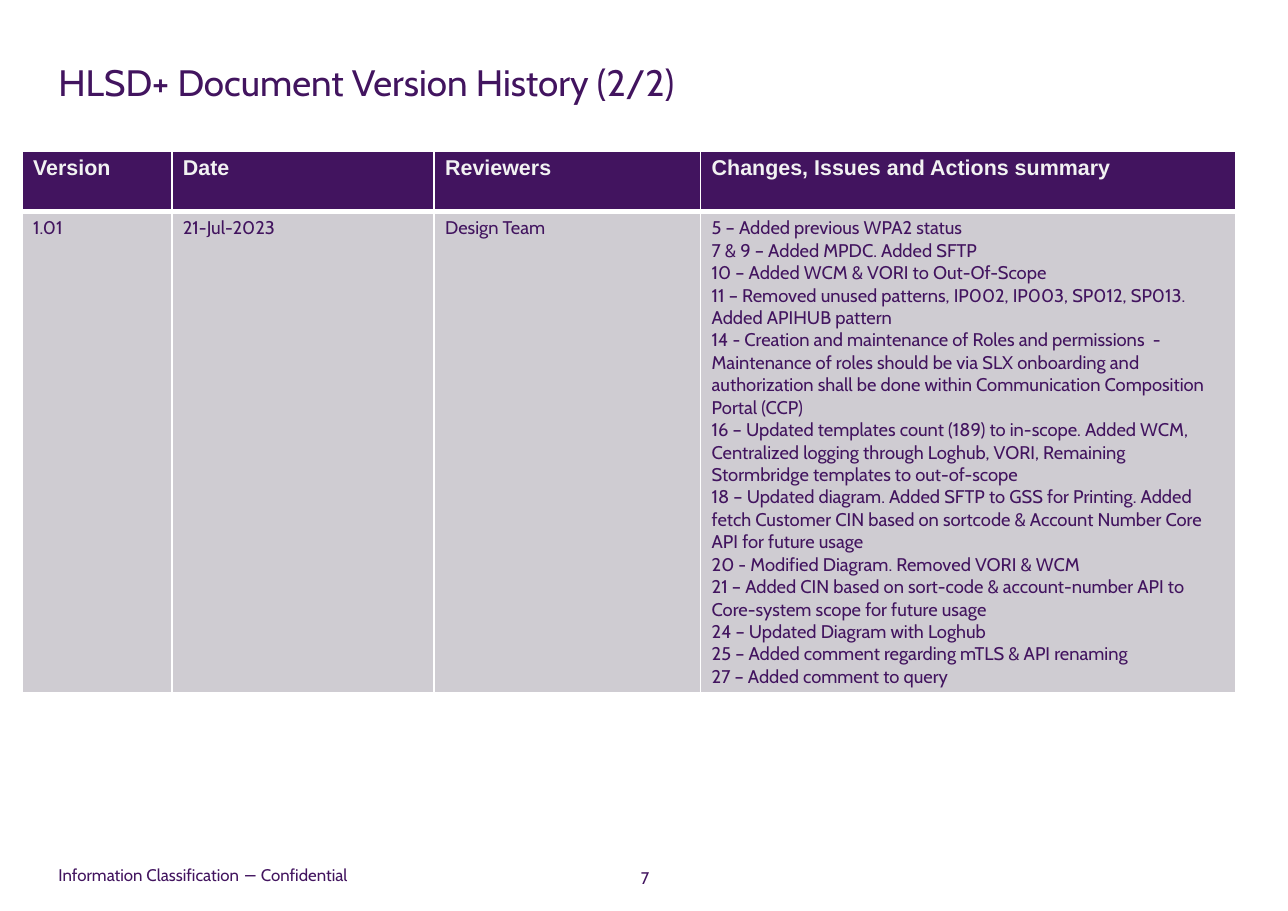
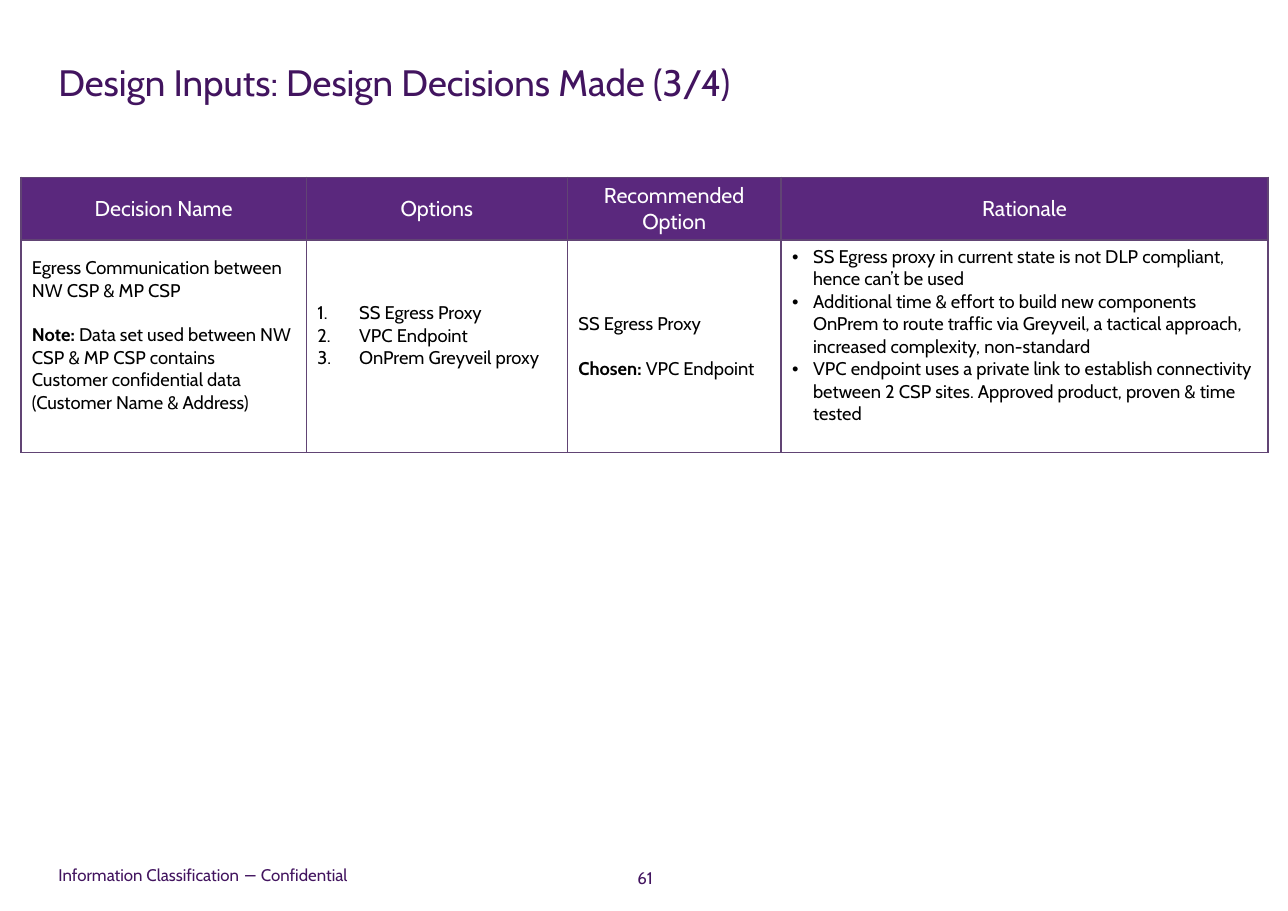
from lxml import etree
from pptx import Presentation
from pptx import util as u
from pptx.dml.color import RGBColor
from pptx.enum import text
from pptx.oxml import ns

PX = 9144  # EMU in one px, 100 px to the inch
COLORS = {
    "ink": "42145F",
    "header": "5A287D",
    "rule": "614474",
    "row": "CFCCD2",
    "pale": "F2F2F2",
    "white": "FFFFFF",
    "black": "000000",
}
LEFT, CENTER = text.PP_ALIGN.LEFT, text.PP_ALIGN.CENTER
TOP, MIDDLE = text.MSO_ANCHOR.TOP, text.MSO_ANCHOR.MIDDLE
BULLETS = {
    "bullet": (19, "a:buChar", {"char": "•"}),
    "number": (38, "a:buAutoNum", {"type": "arabicPeriod"}),
}
BLANK_LINE = u.Pt(14.6)


def px(n):
    return u.Emu(n * PX)


def rgb(name):
    return RGBColor.from_string(COLORS[name])


class Deck:
    FONT = "Cabin"

    def __init__(self):
        self.prs = Presentation()
        self.prs.slide_width, self.prs.slide_height = px(1169), px(827)
        self.s = None

    def slide(self, title, number):
        self.s = self.prs.slides.add_slide(self.prs.slide_layouts[6])
        self.label(title, (53, 54, 937, 59), 24)
        self.label("Information Classification − Confidential",
                   (53, 779, 272, 30), 11, anchor=MIDDLE)
        self.label(str(number), (553, 782, 65, 30), 11, CENTER, MIDDLE)

    def label(self, words, box, size, align=LEFT, anchor=TOP):
        tf = self.s.shapes.add_textbox(*map(px, box)).text_frame
        tf.word_wrap = True
        tf.vertical_anchor = anchor
        tf.margin_left = tf.margin_top = tf.margin_right = tf.margin_bottom = 0
        p = tf.paragraphs[0]
        p.alignment = align
        self.run(p, words, size, "ink")

    def run(self, p, words, size, color, bold=False, font=FONT):
        r = p.add_run()
        r.text = words
        r.font.size, r.font.bold, r.font.name = u.Pt(size), bold, font
        r.font.color.rgb = rgb(color)

    def bullet(self, p, kind):
        indent, tag, attrs = BULLETS[kind]
        pPr = p._p.get_or_add_pPr()
        pPr.set("marL", str(px(indent)))
        pPr.set("indent", str(-px(indent)))
        etree.SubElement(pPr, ns.qn("a:buFont"), typeface=
                         "Arial" if kind == "bullet" else self.FONT)
        etree.SubElement(pPr, ns.qn(tag), **attrs)

    def border(self, cell, color, top=1, bottom=1):
        tcPr = cell._tc.get_or_add_tcPr()
        for side, width in zip("LRTB", (1, 1, top, bottom)):
            ln = etree.SubElement(tcPr, ns.qn("a:ln" + side), w=str(u.Pt(width)))
            fill = etree.SubElement(ln, ns.qn("a:solidFill"))
            etree.SubElement(fill, ns.qn("a:srgbClr"), val=COLORS[color])

    def table(self, left, top, widths, heights, rows, styles, rule, divider=1):
        """Draw a header row and body rows; styles holds one look for each.

        A cell is a list of paragraphs, a paragraph a string or a list of
        (words, bold) runs. A (kind, paragraphs) pair makes a bulleted cell.
        """
        table = self.s.shapes.add_table(
            len(rows), len(widths), px(left), px(top),
            px(sum(widths)), px(sum(heights))).table
        table.first_row = table.horz_banding = False
        for column, width in zip(table.columns, widths):
            column.width = px(width)
        for i, (height, row) in enumerate(zip(heights, rows)):
            table.rows[i].height = px(height)
            style = styles[min(i, 1)]
            for j, content in enumerate(row):
                cell = table.cell(i, j)
                self.border(cell, rule, divider if i else 1,
                            1 if i else divider)
                self.fill_cell(cell, content, **style)
        return table

    def fill_cell(self, cell, content, fill=None, align=LEFT, anchor=TOP,
                  gap=0, bottom=5, **font):
        if fill:
            cell.fill.solid()
            cell.fill.fore_color.rgb = rgb(fill)
        else:
            cell.fill.background()
        cell.vertical_anchor = anchor
        cell.margin_left = cell.margin_right = px(10)
        cell.margin_top, cell.margin_bottom = px(5), px(bottom)
        kind, paragraphs = content if isinstance(content, tuple) else (None, content)
        tf = cell.text_frame
        for k, runs in enumerate(paragraphs):
            p = tf.add_paragraph() if k else tf.paragraphs[0]
            p.alignment = align
            if kind:
                self.bullet(p, kind)
            elif k and gap:
                p.space_before = gap
            for words, bold in [(runs, False)] if isinstance(runs, str) else runs:
                self.run(p, words, **{"bold": bold, **font})


def version_history(deck):
    deck.slide("HLSD+ Document Version History (2/2)", 7)
    changes = [
        "5 – Added previous WPA2 status",
        "7 & 9 – Added MPDC. Added SFTP",
        "10 – Added WCM & VORI to Out-Of-Scope",
        "11 – Removed unused patterns, IP002, IP003, SP012, SP013. "
        "Added APIHUB pattern",
        "14 - Creation and maintenance of Roles and permissions  - "
        "Maintenance of roles should be via SLX onboarding and authorization "
        "shall be done within Communication Composition Portal (CCP)",
        "16 – Updated templates count (189) to in-scope. Added WCM, "
        "Centralized logging through Loghub, VORI, Remaining Stormbridge "
        "templates to out-of-scope",
        "18 – Updated diagram. Added SFTP to GSS for Printing. Added fetch "
        "Customer CIN based on sortcode & Account Number Core API for future usage",
        "20 - Modified Diagram. Removed VORI & WCM",
        "21 – Added CIN based on sort-code & account-number API to "
        "Core-system scope for future usage",
        "24 – Updated Diagram with Loghub",
        "25 – Added comment regarding mTLS & API renaming",
        "27 – Added comment to query",
    ]
    header = dict(fill="ink", size=14, color="pale", bold=True, font="Arial")
    body = dict(fill="row", size=12, color="ink")
    deck.table(20, 137, [136, 238, 242, 486], [55, 437], [
        [["Version"], ["Date"], ["Reviewers"],
         ["Changes, Issues and Actions summary"]],
        [["1.01"], ["21-Jul-2023"], ["Design Team"], changes],
    ], (header, body), "white", divider=3)


def design_decisions(deck):
    deck.slide("Design Inputs: Design Decisions Made (3/4)", 61)
    header = dict(fill="header", size=14, color="white", align=CENTER,
                  anchor=MIDDLE)
    body = dict(size=12, color="black", anchor=MIDDLE, gap=BLANK_LINE, bottom=25)
    decision = [
        "Egress Communication between NW CSP & MP CSP",
        [("Note:", True),
         (" Data set used between NW CSP & MP CSP contains Customer "
          "confidential data (Customer Name & Address)", False)],
    ]
    options = ["SS Egress Proxy", "VPC Endpoint", "OnPrem Greyveil proxy"]
    choice = ["SS Egress Proxy", [("Chosen: ", True), ("VPC Endpoint", False)]]
    rationale = [
        "SS Egress proxy in current state is not DLP compliant, "
        "hence can’t be used",
        "Additional time & effort to build new components OnPrem to route "
        "traffic via Greyveil, a tactical approach, increased complexity, "
        "non-standard",
        "VPC endpoint uses a private link to establish connectivity between "
        "2 CSP sites. Approved product, proven & time tested",
    ]
    table = deck.table(19, 161, [259, 237, 194, 442], [57, 193], [
        [["Decision Name"], ["Options"], ["Recommended Option"], ["Rationale"]],
        [decision, ("number", options), choice, ("bullet", rationale)],
    ], (header, body), "rule")
    table.cell(1, 2).margin_bottom = px(5)


def main():
    deck = Deck()
    version_history(deck)
    design_decisions(deck)
    deck.prs.save("out.pptx")


if __name__ == "__main__":
    main()
